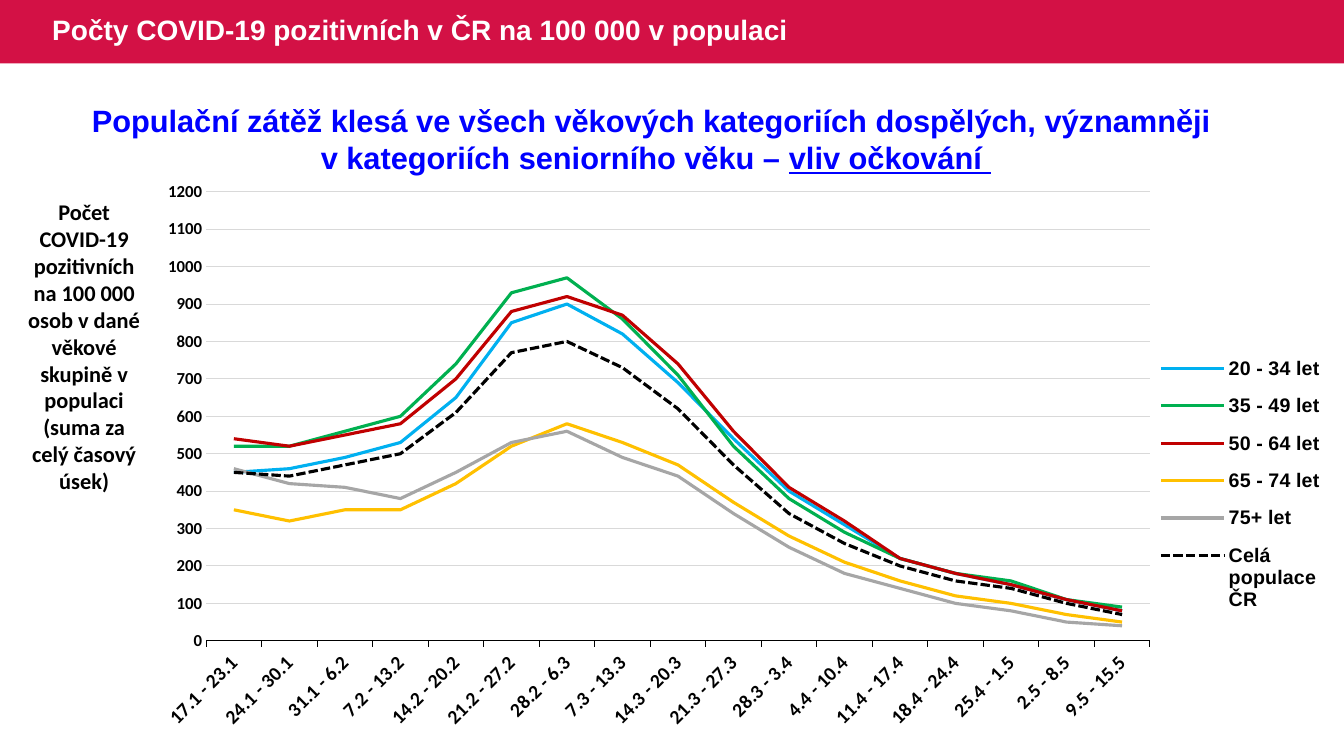
from lxml import etree
from pptx import Presentation
from pptx import util as u
from pptx.chart.data import CategoryChartData
from pptx.dml.color import RGBColor
from pptx.enum import chart as ch, dml, shapes, text
from pptx.oxml.ns import qn

WEEKS = ["17.1 - 23.1", "24.1 - 30.1", "31.1 - 6.2", "7.2 - 13.2", "14.2 - 20.2",
         "21.2 - 27.2", "28.2 - 6.3", "7.3 - 13.3", "14.3 - 20.3", "21.3 - 27.3",
         "28.3 - 3.4", "4.4 - 10.4", "11.4 - 17.4", "18.4 - 24.4", "25.4 - 1.5",
         "2.5 - 8.5", "9.5 - 15.5"]
# Age group, line colour, cases per 100 000 by week
GROUPS = [
    ("20 - 34 let", "00B0F0", [450, 460, 490, 530, 650, 850, 900, 820, 690, 540,
                               400, 310, 220, 180, 150, 110, 80]),
    ("35 - 49 let", "00B050", [520, 520, 560, 600, 740, 930, 970, 860, 710, 520,
                               380, 290, 220, 180, 160, 110, 90]),
    ("50 - 64 let", "C00000", [540, 520, 550, 580, 700, 880, 920, 870, 740, 560,
                               410, 320, 220, 180, 150, 110, 80]),
    ("65 - 74 let", "FFC000", [350, 320, 350, 350, 420, 520, 580, 530, 470, 370,
                               280, 210, 160, 120, 100, 70, 50]),
    ("75+ let", "A6A6A6", [460, 420, 410, 380, 450, 530, 560, 490, 440, 340,
                           250, 180, 140, 100, 80, 50, 40]),
    ("Celá populace ČR", "000000", [450, 440, 470, 500, 610, 770, 800, 730, 620, 470,
                                    340, 260, 200, 160, 140, 100, 70]),
]


def color(value):
    return RGBColor.from_string(value)


def set_font(font, size, name="Arial", fill="000000", bold=True):
    font.size, font.name, font.bold = u.Pt(size), name, bold
    font.fill.solid()
    font.fill.fore_color.rgb = color(fill)


def set_line(line, fill, width):
    line.color.rgb = color(fill)
    line.width = u.Pt(width)


def add_run(p, content, underline=None, **style):
    r = p.add_run()
    r.text = content
    set_font(r.font, **style)
    r.font.underline = underline


def make_layout(x, y, w, h, inner=False):
    """Manual chart layout in fractions of the chart frame."""
    layout = etree.Element(qn("c:layout"))
    manual = etree.SubElement(layout, qn("c:manualLayout"))
    fields = [("layoutTarget", "inner")] if inner else []
    fields += [("xMode", "edge"), ("yMode", "edge"), ("x", x), ("y", y), ("w", w), ("h", h)]
    for tag, value in fields:
        etree.SubElement(manual, qn(f"c:{tag}")).set("val", str(value))
    return layout


def drop_layout(element):
    for old in element.findall(qn("c:layout")):
        element.remove(old)


class SlideBuilder:
    def __init__(self, prs):
        self.s = prs.slides.add_slide(prs.slide_layouts[6])

    def rect(self, box, fill):
        sp = self.s.shapes.add_shape(shapes.MSO_SHAPE.RECTANGLE, *map(u.Pt, box))
        sp.shadow.inherit = False
        sp.fill.solid()
        sp.fill.fore_color.rgb = color(fill)
        sp.line.fill.background()

    def text(self, box, paragraphs, align="CENTER", anchor="TOP", spacing=None, **style):
        """Each paragraph is a list of (content, underline) runs."""
        tf = self.s.shapes.add_textbox(*map(u.Pt, box)).text_frame
        tf.word_wrap = True
        tf.vertical_anchor = text.MSO_ANCHOR[anchor]
        for i, runs in enumerate(paragraphs):
            p = tf.add_paragraph() if i else tf.paragraphs[0]
            p.alignment = text.PP_ALIGN[align]
            p.line_spacing = spacing
            for content, underline in runs:
                add_run(p, content, underline, **style)

    def line_chart(self, box, weeks, groups, dashed):
        data = CategoryChartData(number_format="0")
        data.categories = weeks
        for name, _, values in groups:
            data.add_series(name, values)
        chart = self.s.shapes.add_chart(ch.XL_CHART_TYPE.LINE, *map(u.Pt, box), data).chart
        chart.has_title = False
        set_font(chart.font, 14)
        plot = chart.plots[0]
        plot.vary_by_categories = False
        for series, (name, fill, _) in zip(plot.series, groups):
            series.smooth = False
            set_line(series.format.line, fill, 2.25)
            if name == dashed:
                series.format.line.dash_style = dml.MSO_LINE.SQUARE_DOT
        self.style_axes(chart)
        self.place_parts(chart, plot)

    def style_axes(self, chart):
        cat, val = chart.category_axis, chart.value_axis
        set_font(cat.tick_labels.font, 14, "Calibri")
        cat._element.find(qn("c:txPr")).find(qn("a:bodyPr")).set("rot", "-2700000")
        cat.major_tick_mark = ch.XL_TICK_MARK.OUTSIDE
        set_line(cat.format.line, "000000", 0.75)
        set_font(val.tick_labels.font, 12, "Calibri")
        val.minimum_scale, val.maximum_scale, val.major_unit = 0, 1200, 100
        val.major_tick_mark = ch.XL_TICK_MARK.NONE
        val.format.line.fill.background()
        set_line(val.major_gridlines.format.line, "D9D9D9", 0.75)

    def place_parts(self, chart, plot):
        chart.has_legend = True
        legend = chart.legend
        legend.position = ch.XL_LEGEND_POSITION.RIGHT
        legend.include_in_layout = False
        set_font(legend.font, 14)
        drop_layout(legend._element)
        legend._element.find(qn("c:legendPos")).addnext(make_layout(0.85, 0.28, 0.15, 0.48))
        area = plot._element.getparent()
        drop_layout(area)
        area.insert(0, make_layout(0.045, 0.026, 0.803, 0.759, inner=True))


def main():
    prs = Presentation()
    prs.slide_width, prs.slide_height = u.Pt(960), u.Pt(540)
    slide = SlideBuilder(prs)

    # Header band and title
    slide.rect((0, 0, 960, 45.36), "D31145")
    slide.text((30.24, 0, 602.64, 45.36),
               [[("Počty COVID-19 pozitivních v ČR na 100 000 v populaci", None)]],
               align="LEFT", anchor="MIDDLE", spacing=0.9, size=20, fill="FFFFFF")

    # Weekly cases by age group
    slide.line_chart((109.44, 126, 839.52, 422.64), WEEKS, GROUPS, dashed="Celá populace ČR")

    # Value axis description
    slide.text((10.8, 138.24, 98.64, 220.32),
               [[("Počet COVID-19 pozitivních na 100 000 osob v dané věkové skupině "
                  "v populaci (suma za celý časový úsek)", None)]],
               size=16, name="Calibri")

    # Key message
    slide.text((21.6, 69.12, 893.52, 60.48),
               [[("Populační zátěž klesá ve všech věkových kategoriích dospělých, významněji ", None)],
                [("v kategoriích seniorního věku – ", None), ("vliv očkování ", True)]],
               size=22, fill="0000FF")

    prs.save("out.pptx")


if __name__ == "__main__":
    main()
